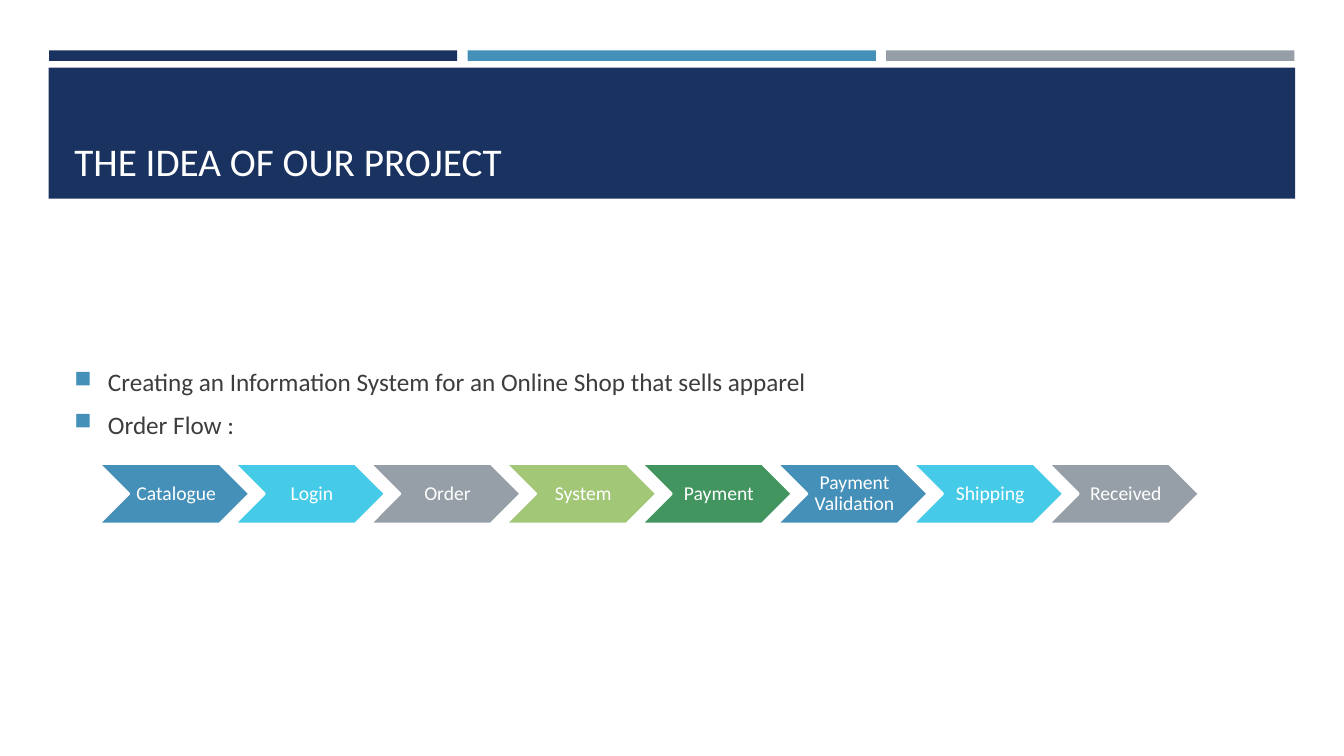
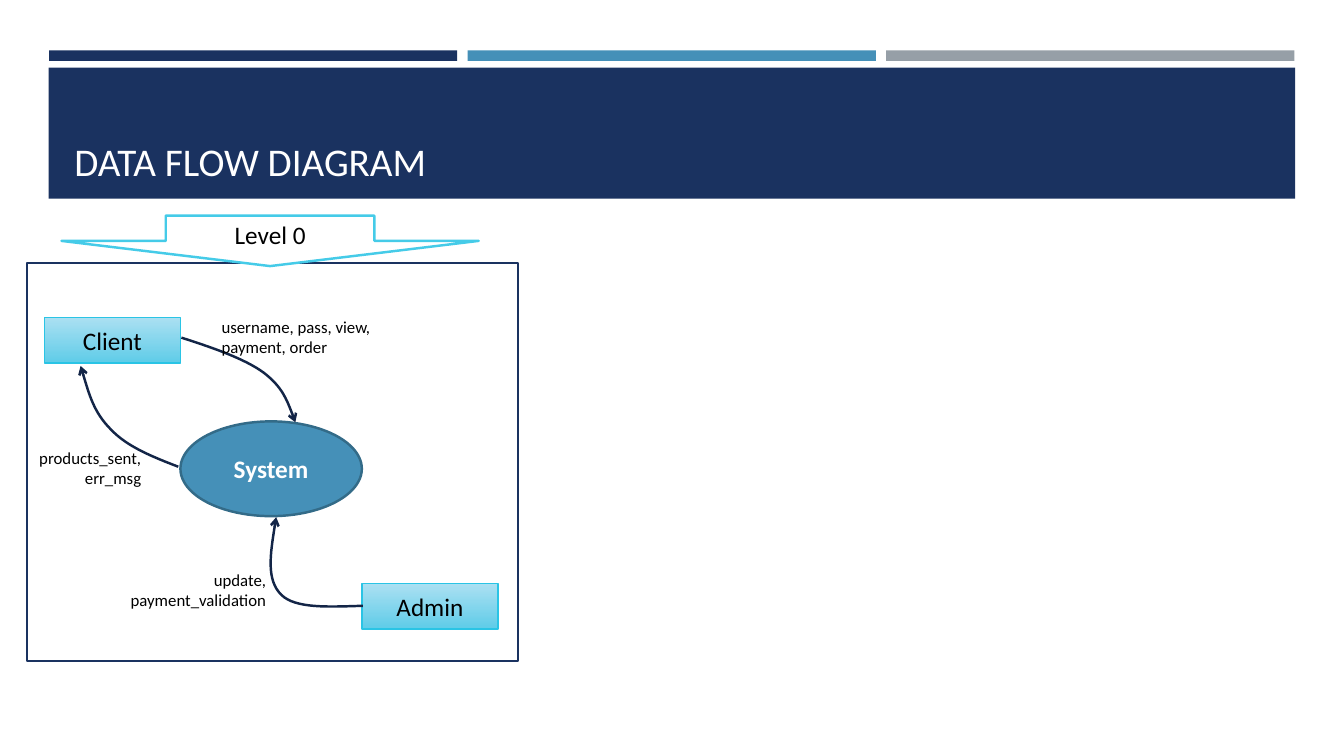
from lxml import etree
from pptx import Presentation
from pptx.dml.color import RGBColor
from pptx.enum import shapes, text
from pptx.oxml.ns import qn
from pptx.util import Pt

FONT = "Calibri"
COLORS = {
    "navy": "1A3260", "blue": "4590B8", "cyan": "45CBE8", "gray": "969FA7",
    "lime": "A2C777", "green": "42955F", "white": "FFFFFF", "black": "000000",
    "body": "3D3D3D", "system_edge": "336B88", "entity_edge": "2AC4E5",
    "entity_top": "ABE0F2", "entity_bottom": "5FCCE8", "flow": "132547",
}
KIND = shapes.MSO_SHAPE
LEFT, CENTER, RIGHT = text.PP_ALIGN.LEFT, text.PP_ALIGN.CENTER, text.PP_ALIGN.RIGHT
TOP, MIDDLE, BOTTOM = (text.MSO_ANCHOR.TOP, text.MSO_ANCHOR.MIDDLE,
                       text.MSO_ANCHOR.BOTTOM)

# All places and sizes are in points: left, top, width, height.
BAND_COLORS = ["navy", "blue", "gray"]
IDEA_TITLE = "THE IDEA OF OUR PROJECT"
IDEA_POINTS = [
    "Creating an Information System for an Online Shop that sells apparel",
    "Order Flow :",
]
ORDER_STEPS = ["Catalogue", "Login", "Order", "System", "Payment",
               "Payment Validation", "Shipping", "Received"]
STEP_COLORS = ["blue", "cyan", "gray", "lime", "green"]

FLOW_TITLE = "DATA FLOW DIAGRAM"
ENTITIES = [("Client", 31.7, 226.8), ("Admin", 258.5, 416.9)]
# Start point, then two control points and an end point for each curve.
FLOWS = [
    [(129.6, 241.2), (151.9, 248.4), (175, 256.3), (188.6, 266.4),
     (201.6, 276.5), (206.6, 289.4), (211, 301.7)],
    [(127.4, 333.4), (108.7, 326.2), (90.7, 319), (79.2, 306.7),
     (67, 294.5), (62.6, 277.9), (57.6, 261.4)],
    [(259.2, 432.7), (235.4, 433.4), (211, 434.9), (200.9, 424.8),
     (190.1, 414), (193.7, 391.7), (197.3, 369.4)],
]
FLOW_LABELS = [
    (["username, pass, view, payment, order"], (151.2, 222.5, 160.6, 36), LEFT),
    (["products_sent,", "err_msg"], (17.3, 316.1, 90.7, 36), RIGHT),
    (["update, payment_validation"], (84.2, 403.2, 113, 36), RIGHT),
]


def rgb(name):
    return RGBColor.from_string(COLORS[name])


def write(sp, lines, size=18, color="black", bold=False, align=LEFT, anchor=TOP,
          insets=(7.2, 3.6, 7.2, 3.6), spacing=1.0, after=0):
    tf = sp.text_frame
    tf.word_wrap = True
    tf.vertical_anchor = anchor
    tf.margin_left, tf.margin_top, tf.margin_right, tf.margin_bottom = map(Pt, insets)
    for i, line in enumerate(lines):
        p = tf.paragraphs[0] if i == 0 else tf.add_paragraph()
        p.alignment, p.line_spacing, p.space_after = align, spacing, Pt(after)
        r = p.add_run()
        r.text = line
        r.font.name, r.font.size, r.font.bold = FONT, Pt(size), bold
        r.font.color.rgb = rgb(color)
    return tf


def add_text(slide, box, lines, **fmt):
    return write(slide.shapes.add_textbox(*map(Pt, box)), lines, **fmt)


def add_shape(slide, kind, box, fill, line=None, width=1.75):
    sp = slide.shapes.add_shape(kind, *map(Pt, box))
    sp.shadow.inherit = False
    sp.fill.solid()
    sp.fill.fore_color.rgb = rgb(fill)
    if line:
        sp.line.color.rgb = rgb(line)
        sp.line.width = Pt(width)
    else:
        sp.line.fill.background()
    return sp


def add_bullet(p):
    pPr = p._p.get_or_add_pPr()
    pPr.set("marL", str(Pt(24)))
    pPr.set("indent", str(-Pt(24)))
    color = etree.SubElement(pPr, qn("a:buClr"))
    etree.SubElement(color, qn("a:srgbClr"), val=COLORS["blue"])
    etree.SubElement(pPr, qn("a:buSzPct"), val="92000")
    etree.SubElement(pPr, qn("a:buChar"), char="■")


def add_curved_arrow(slide, points):
    """Draw a chain of cubic curves with an arrowhead at the last point."""
    start, *rest = [(Pt(x), Pt(y)) for x, y in points]
    builder = slide.shapes.build_freeform(*start)
    builder.add_line_segments(rest, close=False)
    sp = builder.convert_to_shape()
    sp.shadow.inherit = False
    sp.fill.background()
    sp.line.color.rgb = rgb("flow")
    sp.line.width = Pt(1.75)
    outline = sp._element.find(".//" + qn("a:path"))
    segments = outline.findall(qn("a:lnTo"))
    for i in range(0, len(segments), 3):
        curve = etree.SubElement(outline, qn("a:cubicBezTo"))
        for segment in segments[i:i + 3]:
            curve.append(segment[0])
            outline.remove(segment)
    ln = sp._element.spPr.find(qn("a:ln"))
    etree.SubElement(ln, qn("a:tailEnd"), type="arrow")


def add_titled_slide(prs, title):
    slide = prs.slides.add_slide(prs.slide_layouts[6])
    for i, color in enumerate(BAND_COLORS):
        add_shape(slide, KIND.RECTANGLE, (35 + 299 * i, 36, 291.6, 7.5), color)
    add_shape(slide, KIND.RECTANGLE, (34.8, 48.4, 890.4, 93.6), "navy")
    add_text(slide, (46, 55.4, 868.3, 80), [title], size=28, color="white",
             anchor=BOTTOM)
    return slide


def build_idea(prs):
    slide = add_titled_slide(prs, IDEA_TITLE)
    tf = add_text(slide, (46, 258.3, 868.3, 64), IDEA_POINTS, color="body", after=8.7)
    for p in tf.paragraphs:
        add_bullet(p)
    for i, step in enumerate(ORDER_STEPS):
        sp = add_shape(slide, KIND.CHEVRON, (70.6 + 96.9 * i, 331.2, 107.7, 43),
                       STEP_COLORS[i % len(STEP_COLORS)], "white")
        write(sp, [step], size=14, color="white", align=CENTER, anchor=MIDDLE,
              insets=(4.3, 1.4, 1.4, 1.4), spacing=0.9)


def build_flow(prs):
    slide = add_titled_slide(prs, FLOW_TITLE)
    add_shape(slide, KIND.RECTANGLE, (19.4, 187.9, 350.6, 284.4), "white", "navy")
    system = add_shape(slide, KIND.OVAL, (128.9, 301, 129.6, 67.7), "blue",
                       "system_edge")
    write(system, ["System"], color="white", bold=True, align=CENTER, anchor=MIDDLE)
    for name, left, top in ENTITIES:
        sp = add_shape(slide, KIND.RECTANGLE, (left, top, 97.2, 32.4), "entity_top",
                       "entity_edge", 1)
        sp.fill.gradient()
        sp.fill.gradient_angle = 270
        for stop, color in zip(sp.fill.gradient_stops, ("entity_top", "entity_bottom")):
            stop.color.rgb = rgb(color)
        write(sp, [name], align=CENTER, anchor=MIDDLE)
    for points in FLOWS:
        add_curved_arrow(slide, points)
    for lines, box, align in FLOW_LABELS:
        add_text(slide, box, lines, size=12, align=align)
    level = add_shape(slide, KIND.DOWN_ARROW, (43.9, 154.1, 298.1, 36), "white", "cyan")
    write(level, ["Level 0"], align=CENTER, anchor=MIDDLE)


def main():
    prs = Presentation()
    prs.slide_width, prs.slide_height = Pt(960), Pt(540)
    build_idea(prs)
    build_flow(prs)
    prs.save("out.pptx")


if __name__ == "__main__":
    main()
